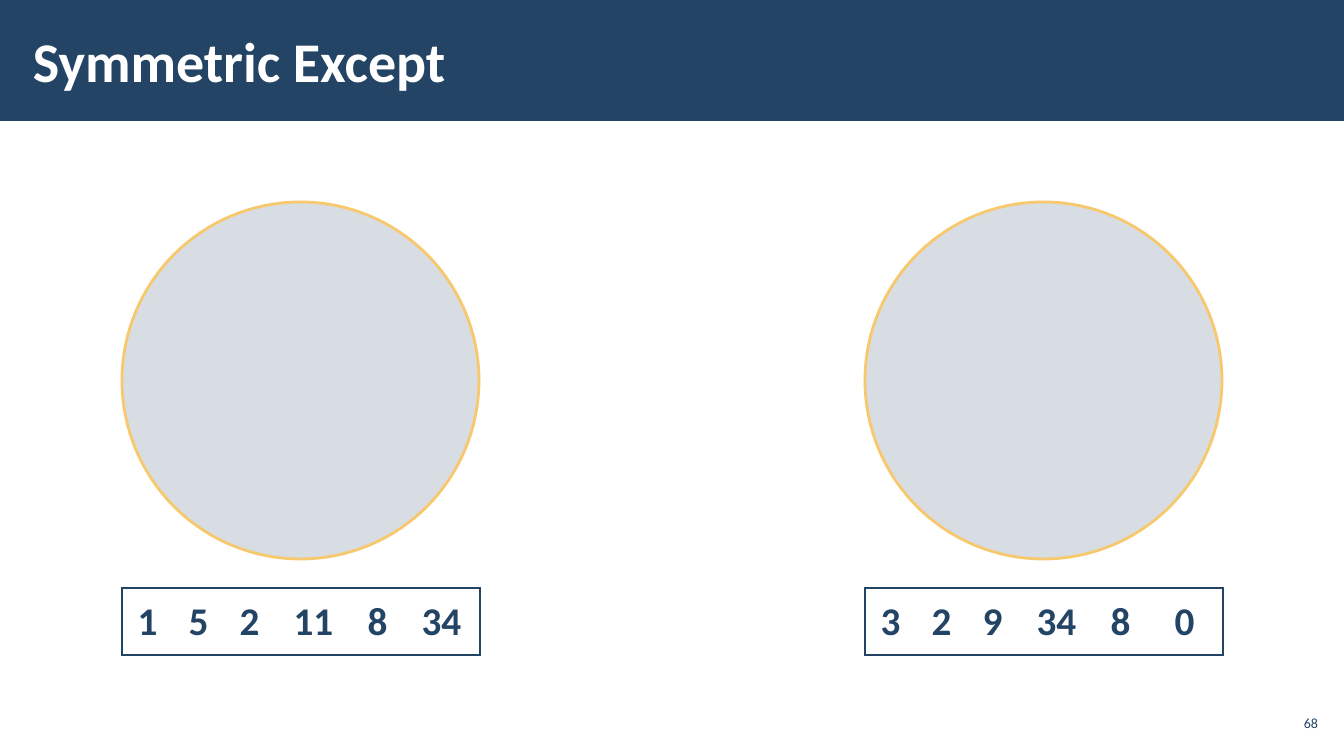
import lxml.etree
import pptx
import pptx.dml.color
import pptx.enum.shapes
import pptx.enum.text
import pptx.oxml.ns
import pptx.util

NAVY = pptx.dml.color.RGBColor(0x23, 0x44, 0x65)
GOLD = pptx.dml.color.RGBColor(0xF7, 0xC8, 0x6D)
WHITE = pptx.dml.color.RGBColor(0xFF, 0xFF, 0xFF)
SHAPES = pptx.enum.shapes.MSO_SHAPE
ALIGN = pptx.enum.text.PP_ALIGN
MIDDLE = pptx.enum.text.MSO_ANCHOR.MIDDLE
SCALE = 914400 / 100.8


def px(length):
    return pptx.util.Emu(round(length * SCALE))


def child(parent, tag, **attributes):
    return lxml.etree.SubElement(parent, pptx.oxml.ns.qn(tag), **attributes)


class SlideBuilder:
    """Draws styled elements on one slide, measured in px."""

    font = "Calibri"

    def __init__(self, presentation):
        self.slide = presentation.slides.add_slide(presentation.slide_layouts[5])
        self.shapes = self.slide.shapes

    def add_text(self, frame, text, size, color, bold=False, align=ALIGN.LEFT):
        paragraph = frame.paragraphs[0]
        paragraph.alignment = align
        run = paragraph.add_run()
        run.text = text
        run.font.name = self.font
        run.font.size = pptx.util.Pt(size)
        run.font.bold = bold
        run.font.color.rgb = color
        return paragraph

    def inset(self, frame, horizontal, vertical):
        frame.word_wrap = True
        frame.auto_size = pptx.enum.text.MSO_AUTO_SIZE.NONE
        frame.vertical_anchor = MIDDLE
        frame.margin_left = frame.margin_right = px(horizontal)
        frame.margin_top = frame.margin_bottom = px(vertical)

    def banner(self, width, height):
        shape = self.shapes.add_shape(SHAPES.RECTANGLE, 0, 0, px(width), px(height))
        shape.shadow.inherit = False
        shape.fill.solid()
        shape.fill.fore_color.rgb = NAVY
        shape.line.fill.background()
        self.shapes._spTree.insert(2, shape._element)

    def title(self, text, left, top, width, height):
        shape = self.shapes.title
        shape.left, shape.top = px(left), px(top)
        shape.width, shape.height = px(width), px(height)
        self.inset(shape.text_frame, 12, 4)
        self.add_text(shape.text_frame, text, 40, WHITE, bold=True)

    def page_number(self, text, left, top, width, height):
        box = self.shapes.add_textbox(px(left), px(top), px(width), px(height))
        self.inset(box.text_frame, 4, 4)
        self.add_text(box.text_frame, text, 10, NAVY, align=ALIGN.RIGHT)

    def circle(self, left, top, diameter):
        shape = self.shapes.add_shape(
            SHAPES.OVAL, px(left), px(top), px(diameter), px(diameter))
        shape.shadow.inherit = False
        shape.fill.solid()
        shape.fill.fore_color.rgb = NAVY
        color = shape._element.spPr.find(".//" + pptx.oxml.ns.qn("a:srgbClr"))
        child(color, "a:alpha", val="18000")
        shape.line.color.rgb = GOLD
        shape.line.width = pptx.util.Pt(2)

    def borders(self, cell, visible):
        properties = cell._tc.get_or_add_tcPr()
        for side in "LRTB":
            line = child(properties, f"a:ln{side}", w=str(pptx.util.Pt(1)))
            if side in visible:
                child(child(line, "a:solidFill"), "a:srgbClr", val=str(NAVY))
            else:
                child(line, "a:noFill")

    def number_row(self, numbers, left, top, height, widths):
        table = self.shapes.add_table(
            1, len(numbers), px(left), px(top), px(sum(widths)), px(height)).table
        table.first_row = table.horz_banding = False
        table.rows[0].height = px(height)
        last = len(numbers) - 1
        for index, (number, width) in enumerate(zip(numbers, widths)):
            table.columns[index].width = px(width)
            cell = table.cell(0, index)
            cell.vertical_anchor = MIDDLE
            cell.margin_left = cell.margin_right = px(13)
            cell.margin_top = cell.margin_bottom = px(5)
            self.borders(cell, "TB" + "L" * (index == 0) + "R" * (index == last))
            cell.fill.background()
            paragraph = self.add_text(
                cell.text_frame, str(number), 28, NAVY, bold=True, align=ALIGN.CENTER)
            paragraph.line_spacing = 0.95


def main():
    presentation = pptx.Presentation()
    presentation.slide_width, presentation.slide_height = px(1344), px(756)
    builder = SlideBuilder(presentation)
    builder.banner(1344, 121)
    builder.title("Symmetric Except", 21, 11, 1048, 98)
    builder.page_number("68", 1275, 706, 47, 34)

    column_widths = [51, 51, 51, 77, 51, 77]
    sets = {122: [1, 5, 2, 11, 8, 34], 865: [3, 2, 9, 34, 8, 0]}
    for left, numbers in sets.items():
        builder.circle(left, 202, 357)
        builder.number_row(numbers, left, 588, 67, column_widths)
    presentation.save("out.pptx")


if __name__ == "__main__":
    main()
